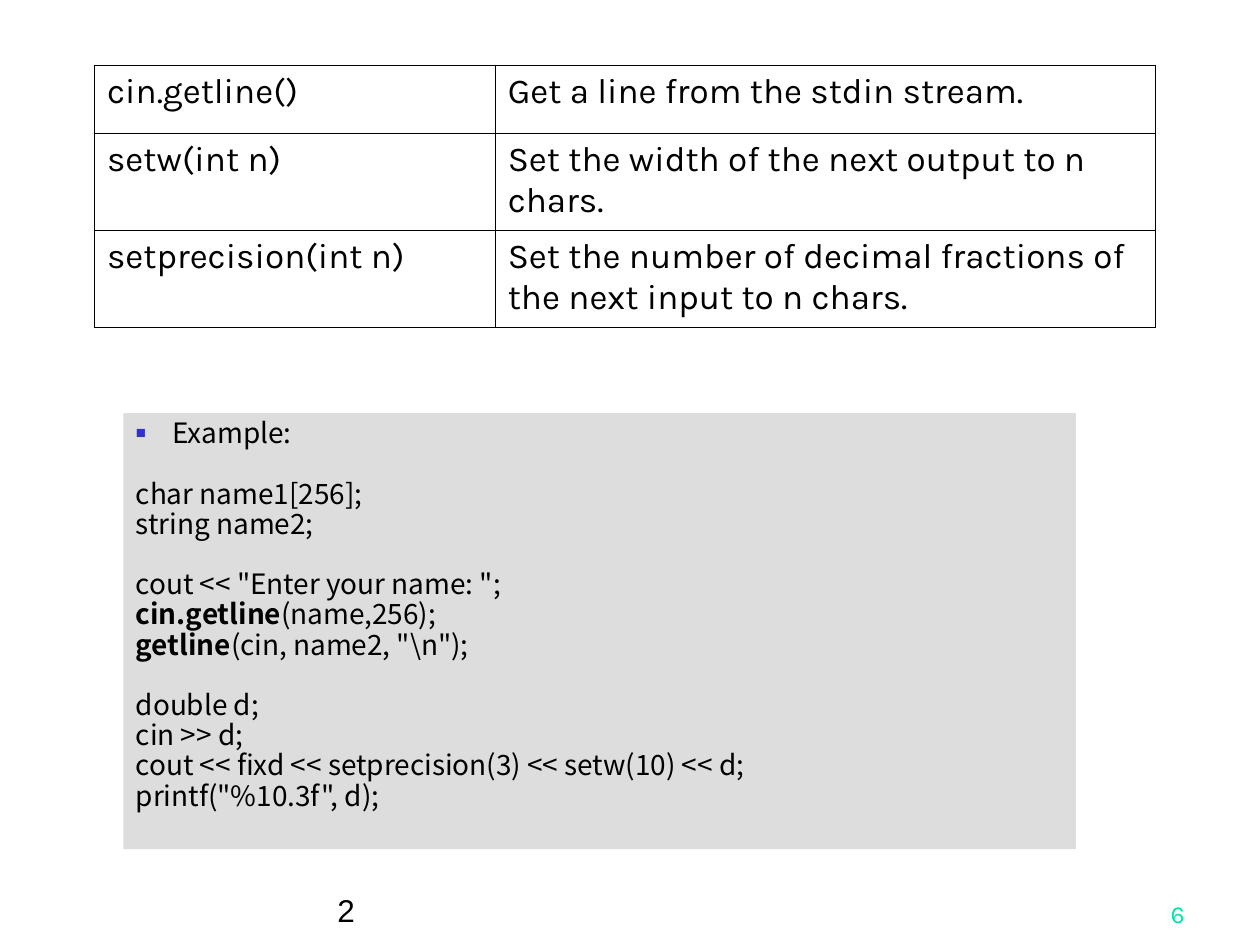
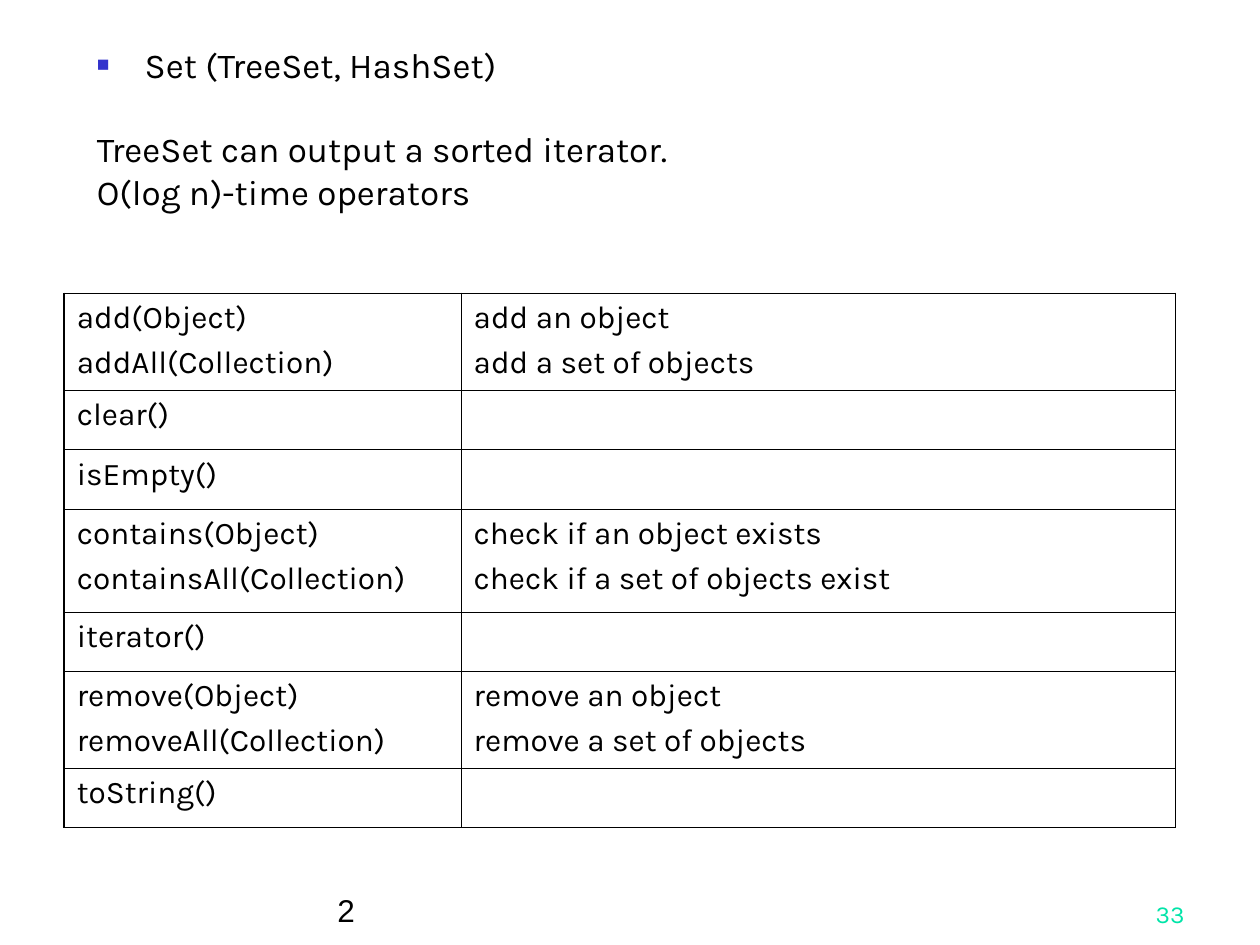
"""Build two slides on stream functions and the Set collection."""
from lxml import etree
from pptx import Presentation
from pptx.dml.color import RGBColor
from pptx.enum.shapes import MSO_SHAPE
from pptx.enum.text import MSO_ANCHOR, PP_ALIGN
from pptx.oxml.ns import qn
from pptx.util import Inches, Pt

RECT = MSO_SHAPE.RECTANGLE
TOP, BOTTOM = MSO_ANCHOR.TOP, MSO_ANCHOR.BOTTOM
LEFT, RIGHT = PP_ALIGN.LEFT, PP_ALIGN.RIGHT

COLORS = {"text": "000000", "bullet": "3333CC", "code": "DDDDDD", "page": "00E4A8"}
OUTER, INNER = 1.08, 0.45
MAIN_FONT, CODE_FONT, DATE_FONT = "Karla", "Noto Sans CJK SC", "Arial"


class Deck:
    """Hold the shared style and the current slide."""

    def __init__(self):
        self.prs = Presentation()
        self.prs.slide_width, self.prs.slide_height = Inches(10), Inches(7.5)
        self.s = None

    def slide(self, number):
        self.s = self.prs.slides.add_slide(self.prs.slide_layouts[6])
        self.text((2.58, 6.92, 5.42, 0.5), ["2"], 18, DATE_FONT, anchor=BOTTOM)
        self.text((7.42, 6.92, 2.08, 0.5), [number], 14, anchor=BOTTOM,
                  align=RIGHT, color="page")

    def bullet(self, p, hang):
        pPr = p._p.get_or_add_pPr()
        pPr.set("marL", str(Inches(hang)))
        pPr.set("indent", str(-Inches(hang)))
        clr = etree.SubElement(pPr, qn("a:buClr"))
        etree.SubElement(clr, qn("a:srgbClr"), val=COLORS["bullet"])
        etree.SubElement(pPr, qn("a:buSzPct"), val="60000")
        etree.SubElement(pPr, qn("a:buFont"), typeface=DATE_FONT)
        etree.SubElement(pPr, qn("a:buChar"), char="■")

    def fill_text(self, tf, lines, size, font=MAIN_FONT, color="text", align=LEFT,
                  spacing=1.0, before=0, gaps=None, hang=0):
        formats = {"name": font, "size": Pt(size)}
        for i, line in enumerate(lines):
            p = tf.add_paragraph() if i else tf.paragraphs[0]
            if hang and not i:
                self.bullet(p, hang)
            layout = {"alignment": align, "line_spacing": spacing,
                      "space_before": Pt((gaps or {}).get(i, before) if i else 0)}
            for name, value in layout.items():
                setattr(p, name, value)
            bold, plain = line if isinstance(line, tuple) else ("", line)
            for text, is_bold in ((bold, True), (plain, False)):
                if text:
                    r = p.add_run()
                    r.text = text
                    for name, value in {**formats, "bold": is_bold}.items():
                        setattr(r.font, name, value)
                    r.font.color.rgb = RGBColor.from_string(COLORS[color])

    def text(self, box, lines, size, font=MAIN_FONT, anchor=TOP, **style):
        tf = self.s.shapes.add_textbox(*map(Inches, box)).text_frame
        tf.word_wrap, tf.vertical_anchor = True, anchor
        self.fill_text(tf, lines, size, font, **style)

    def panel(self, box, lines, size, **style):
        sp = self.s.shapes.add_shape(RECT, *map(Inches, box))
        sp.shadow.inherit = False
        sp.fill.solid()
        sp.fill.fore_color.rgb = RGBColor.from_string(COLORS["code"])
        sp.line.fill.background()
        sp.text_frame.vertical_anchor = TOP
        self.fill_text(sp.text_frame, lines, size, CODE_FONT, **style)

    def borders(self, cell, widths):
        tcPr = cell._tc.get_or_add_tcPr()
        for side, width in widths.items():
            ln = etree.SubElement(tcPr, qn(f"a:ln{side}"), w=str(Pt(width)))
            fill = etree.SubElement(ln, qn("a:solidFill"))
            etree.SubElement(fill, qn("a:srgbClr"), val=COLORS["text"])

    def table(self, left, top, cols, heights, rows, size, before):
        box = map(Inches, (left, top, sum(cols), sum(heights)))
        table = self.s.shapes.add_table(len(rows), len(cols), *box).table
        table.first_row = table.horz_banding = False
        for col, width in zip(table.columns, cols):
            col.width = Inches(width)
        for i, (row, height) in enumerate(zip(rows, heights)):
            table.rows[i].height = Inches(height)
            for j, lines in enumerate(row):
                cell = table.cell(i, j)
                edges = {"L": j == 0, "R": j == len(cols) - 1,
                         "T": i == 0, "B": i == len(rows) - 1}
                self.borders(cell, {k: OUTER if v else INNER for k, v in edges.items()})
                cell.fill.background()
                self.fill_text(cell.text_frame, lines, size, before=before)


def main():
    deck = Deck()

    deck.slide("6")
    deck.table(0.75, 0.52, (3.18, 5.24), (0.54, 0.77, 0.77), [
        (["cin.getline()"], ["Get a line from the stdin stream."]),
        (["setw(int n)"], ["Set the width of the next output to n chars."]),
        (["setprecision(int n)"],
         ["Set the number of decimal fractions of the next input to n chars."]),
    ], 20, 5)
    code = [
        "Example:",
        "char name1[256];",
        "string name2;",
        'cout << "Enter your name: ";',
        ("cin.getline", "(name,256);"),
        ("getline", '(cin, name2, "\\n");'),
        "double d;",
        "cin >> d;",
        "cout << fixd << setprecision(3) << setw(10) << d;",
        'printf("%10.3f", d);',
    ]
    deck.panel((0.98, 3.28, 7.56, 3.46), code, 16, spacing=0.9, hang=0.29,
               gaps=dict.fromkeys((1, 3, 6), 17.25))

    deck.slide("33")
    deck.text((0.67, 0.36, 8.51, 1.42), [
        "Set (TreeSet, HashSet)",
        "TreeSet can output a sorted iterator.",
        "O(log n)-time operators",
    ], 20, spacing=0.8, before=5, gaps={1: 29}, hang=0.38)
    single, double = 0.47, 0.77
    deck.table(0.51, 2.33, (3.15, 5.67),
               (double, single, single, 0.82, single, double, single), [
        (["add(Object)", "addAll(Collection)"],
         ["add an object", "add a set of objects"]),
        (["clear()"], []),
        (["isEmpty()"], []),
        (["contains(Object)", "containsAll(Collection)"],
         ["check if an object exists", "check if a set of objects exist"]),
        (["iterator()"], []),
        (["remove(Object)", "removeAll(Collection)"],
         ["remove an object", "remove a set of objects"]),
        (["toString()"], []),
    ], 18, 4.5)

    deck.prs.save("out.pptx")


if __name__ == "__main__":
    main()
